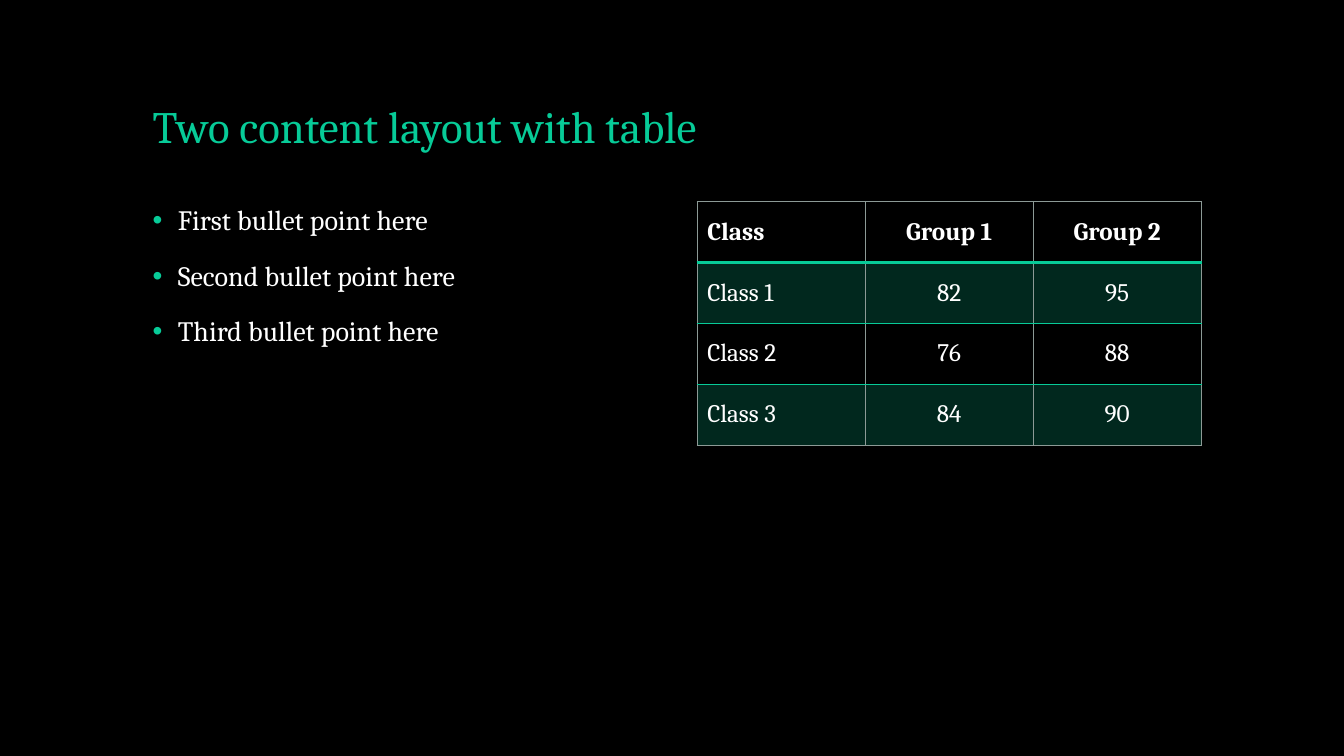
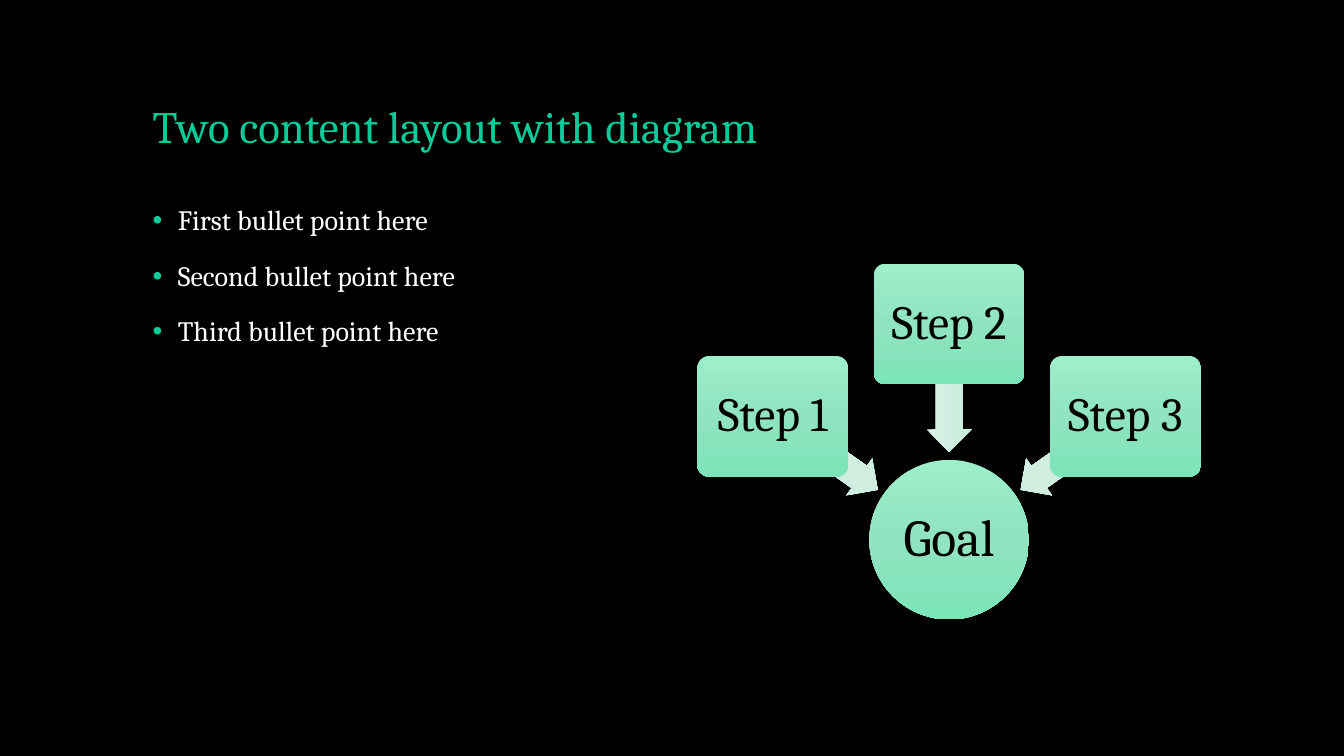
from lxml import etree
from pptx import Presentation
from pptx.dml.color import RGBColor
from pptx.enum.shapes import MSO_SHAPE
from pptx.enum.text import MSO_ANCHOR, PP_ALIGN
from pptx.oxml.ns import qn
from pptx.util import Pt

EMU_PER_PX = 9525
FONT = "Cambria"
BLACK, WHITE, GREEN, GREY = "000000", "FFFFFF", "07CB98", "8C9A96"
NODE_STOPS = ("9DEECB", "90E4C1", "7CE4B9")
ARROW_STOPS = ("DCF3E9", "CFEEE0", "C8EDDC")
LEFT, CENTER = PP_ALIGN.LEFT, PP_ALIGN.CENTER
TOP, MIDDLE, BOTTOM = MSO_ANCHOR.TOP, MSO_ANCHOR.MIDDLE, MSO_ANCHOR.BOTTOM
OVAL, ARROW = MSO_SHAPE.OVAL, MSO_SHAPE.LEFT_ARROW
ROUNDED = MSO_SHAPE.ROUNDED_RECTANGLE
CONTENT_LEFT, CONTENT_TOP, COLUMN_WIDTH = 136, 192, 480
RIGHT_COLUMN = 664
BULLETS = ["First bullet point here", "Second bullet point here", "Third bullet point here"]
SCORES = [
    ["Class", "Group 1", "Group 2"],
    ["Class 1", "82", "95"],
    ["Class 2", "76", "88"],
    ["Class 3", "84", "90"],
]


def px(length):
    return length * EMU_PER_PX


def rgb(value):
    return RGBColor.from_string(value)


def format_para(para, size, color, align=LEFT, bold=False):
    para.alignment = align
    for span in para.runs:
        span.font.name = FONT
        span.font.size = Pt(size)
        span.font.bold = bold
        span.font.color.rgb = rgb(color)


def add_text(page, place, lines, size, color, anchor):
    frame = page.shapes.add_textbox(*map(px, place)).text_frame
    frame.word_wrap = True
    frame.vertical_anchor = anchor
    frame.text = "\n".join(lines)
    for para in frame.paragraphs:
        para.line_spacing = 0.9
        format_para(para, size, color)
    return frame


def add_bullet(para):
    para.space_before = Pt(18)
    properties = para._p.get_or_add_pPr()
    properties.set("marL", str(px(24)))
    properties.set("indent", str(px(-24)))
    color = etree.SubElement(properties, qn("a:buClr"))
    etree.SubElement(color, qn("a:srgbClr"), val=GREEN)
    etree.SubElement(properties, qn("a:buFont"), typeface="Arial")
    etree.SubElement(properties, qn("a:buChar"), char="•")


def add_page(deck, title):
    page = deck.slides.add_slide(deck.slide_layouts[6])
    add_text(page, (CONTENT_LEFT, 39, 1008, 112), [title], 32, GREEN, BOTTOM)
    place = (CONTENT_LEFT, CONTENT_TOP, COLUMN_WIDTH, 457)
    for para in add_text(page, place, BULLETS, 20, WHITE, TOP).paragraphs:
        add_bullet(para)
    return page


def set_border(cell, side, color, width=1):
    line = etree.SubElement(cell._tc.get_or_add_tcPr(), qn(f"a:ln{side}"), w=str(Pt(width)))
    fill = etree.SubElement(line, qn("a:solidFill"))
    etree.SubElement(fill, qn("a:srgbClr"), val=color)


def fill_cell(cell, tinted):
    if not tinted:
        cell.fill.background()
        return
    cell.fill.solid()
    cell.fill.fore_color.rgb = rgb(GREEN)
    color = cell._tc.tcPr.find(qn("a:solidFill")).find(qn("a:srgbClr"))
    etree.SubElement(color, qn("a:alpha"), val="20000")


def add_score_table(page, rows):
    count, width, row_height = len(rows), len(rows[0]), 58
    place = (RIGHT_COLUMN, CONTENT_TOP, COLUMN_WIDTH, count * row_height)
    table = page.shapes.add_table(count, width, *map(px, place)).table
    table.first_row = table.horz_banding = False
    for r, row in enumerate(rows):
        for c, value in enumerate(row):
            cell = table.cell(r, c)
            cell.text = value
            cell.vertical_anchor = MIDDLE
            align = CENTER if c else LEFT
            format_para(cell.text_frame.paragraphs[0], 18, WHITE, align, r == 0)
            set_border(cell, "L", GREY)
            set_border(cell, "R", GREY)
            set_border(cell, "T", GREEN if r else GREY, 2 if r == 1 else 1)
            set_border(cell, "B", GREEN if r < count - 1 else GREY, 2 if r == 0 else 1)
            fill_cell(cell, r % 2 == 1)


def add_gradient_shape(page, kind, place, stops):
    shape = page.shapes.add_shape(kind, *map(px, place))
    gradient = etree.SubElement(shape._element.spPr, qn("a:gradFill"), rotWithShape="1")
    stop_list = etree.SubElement(gradient, qn("a:gsLst"))
    for index, color in enumerate(stops):
        stop = etree.SubElement(stop_list, qn("a:gs"), pos=str(index * 50000))
        etree.SubElement(stop, qn("a:srgbClr"), val=color)
    etree.SubElement(gradient, qn("a:lin"), ang="5400000", scaled="0")
    shape.line.fill.background()
    shape.shadow.inherit = False
    return shape


def add_node(page, kind, place, label, size):
    node = add_gradient_shape(page, kind, place, NODE_STOPS)
    frame = node.text_frame
    frame.word_wrap = True
    frame.vertical_anchor = MIDDLE
    frame.margin_left = frame.margin_right = px(3)
    frame.margin_top = frame.margin_bottom = px(3)
    frame.text = label
    frame.paragraphs[0].line_spacing = 0.9
    format_para(frame.paragraphs[0], size, BLACK, CENTER)
    return node


def add_goal_diagram(page):
    add_node(page, OVAL, (828, 438, 152, 152), "Goal", 37)
    steps = [("Step 1", 339, 410, 215), ("Step 2", 251, 348, 270), ("Step 3", 339, 410, 325)]
    for index, (label, box_top, arrow_top, angle) in enumerate(steps):
        place = (725 + index * 118, arrow_top, 122, 43)
        arrow = add_gradient_shape(page, ARROW, place, ARROW_STOPS)
        arrow.adjustments[0] = 0.6
        arrow.rotation = angle
        place = (RIGHT_COLUMN + index * 168, box_top, 144, 115)
        add_node(page, ROUNDED, place, label, 34).adjustments[0] = 0.1


def main():
    deck = Presentation()
    deck.slide_width, deck.slide_height = px(1280), px(720)
    background = deck.slide_master.background.fill
    background.solid()
    background.fore_color.rgb = rgb(BLACK)
    add_score_table(add_page(deck, "Two content layout with table"), SCORES)
    add_goal_diagram(add_page(deck, "Two content layout with diagram"))
    deck.save("out.pptx")


if __name__ == "__main__":
    main()
